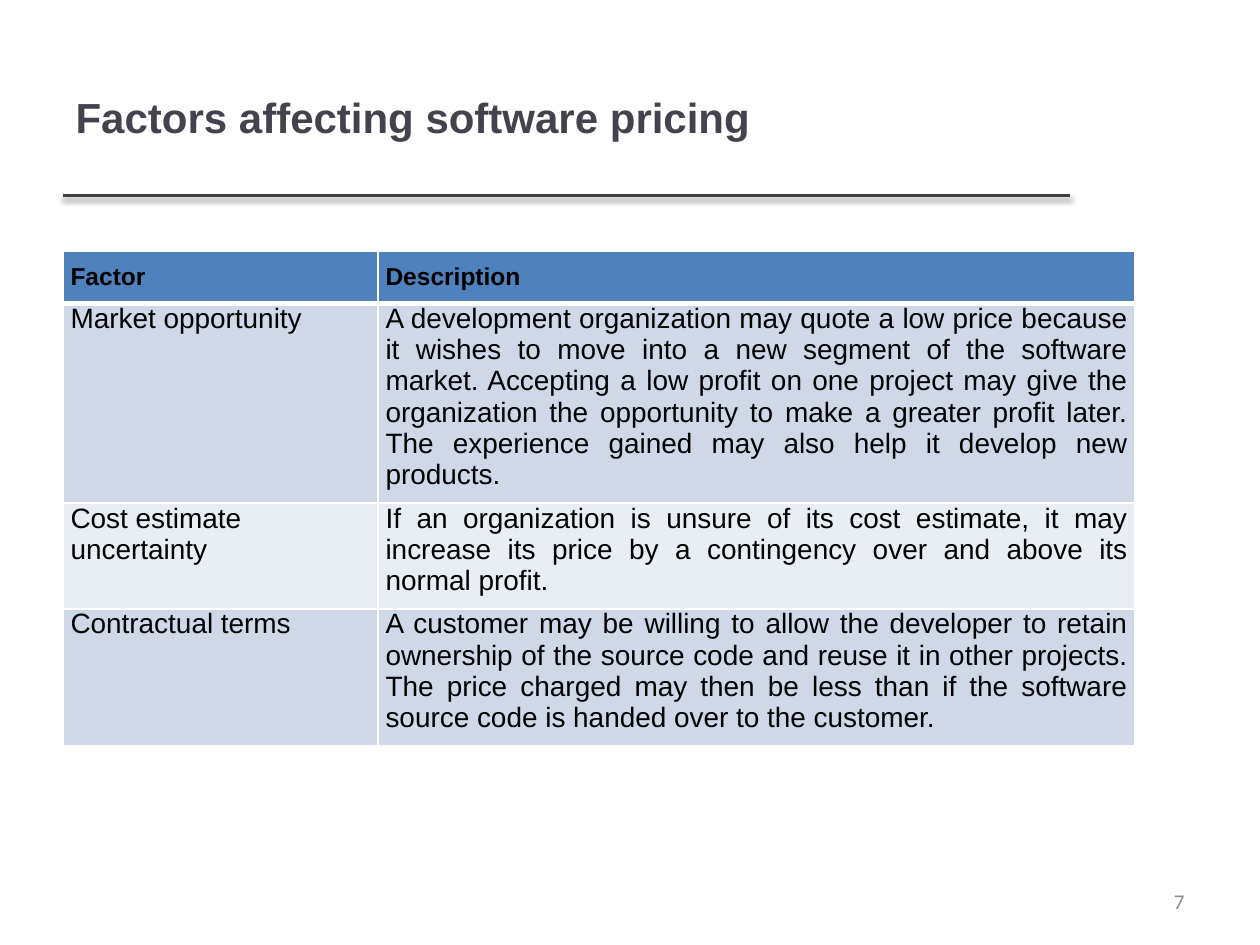
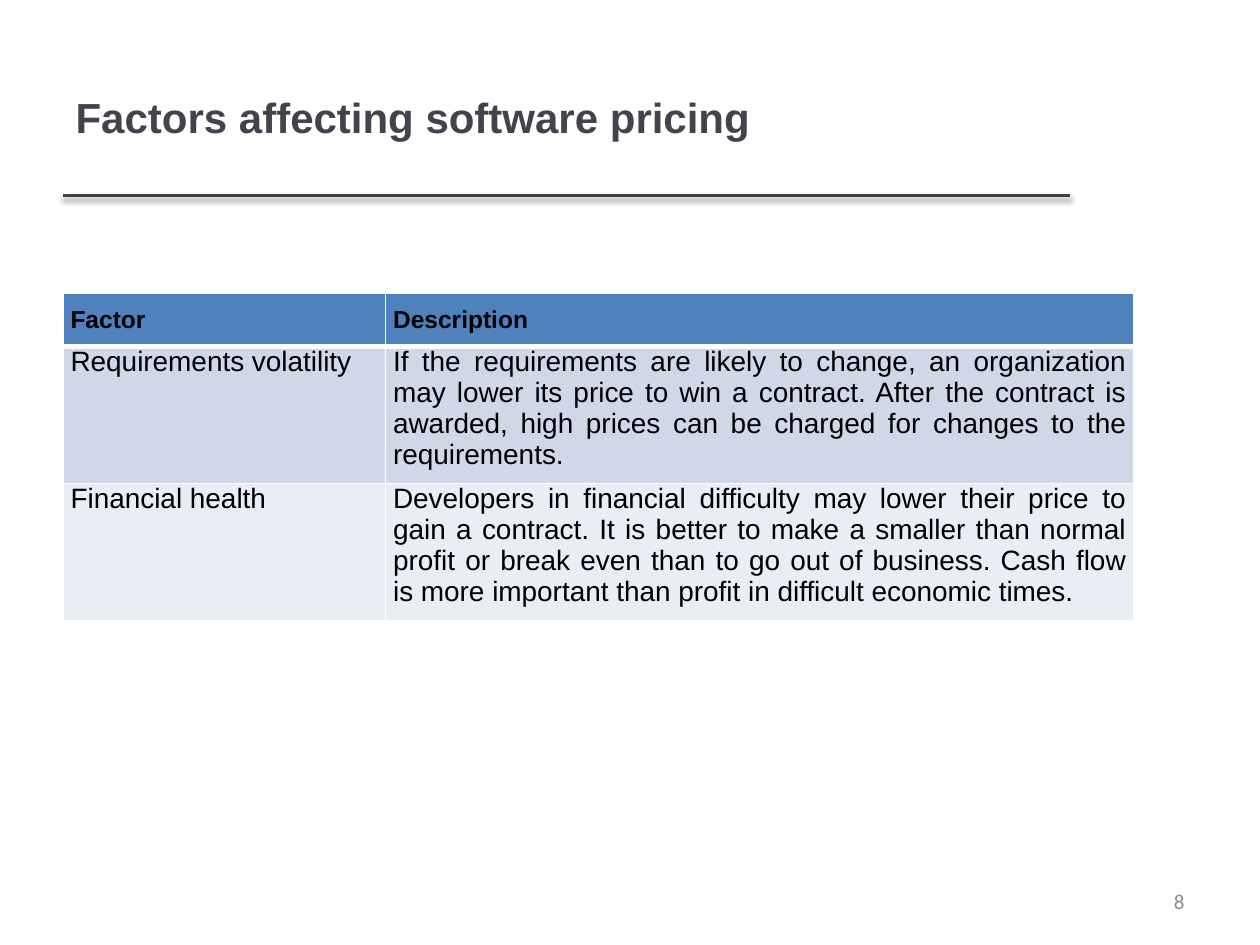
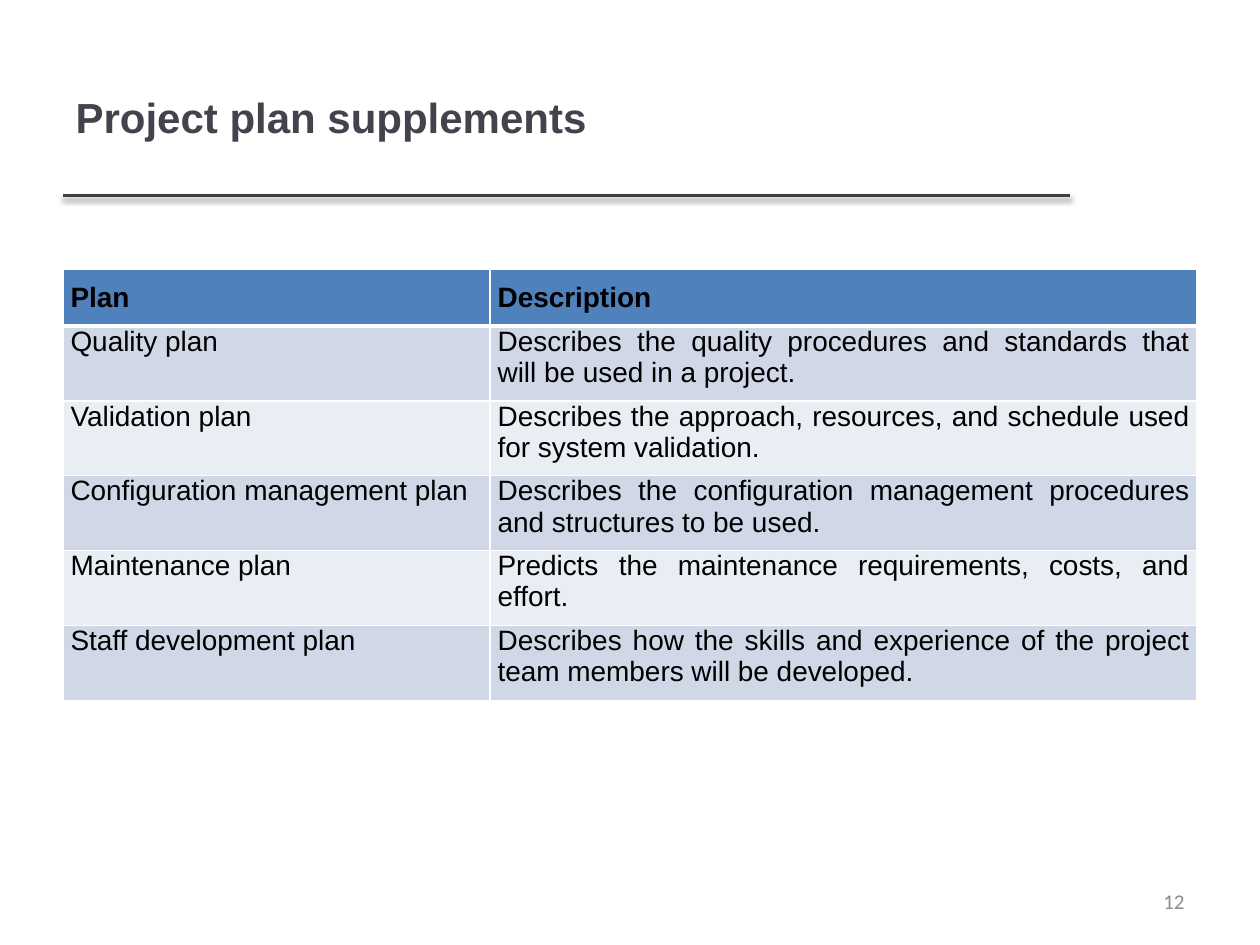
from dataclasses import dataclass

import lxml.etree
import pptx
import pptx.dml.color
import pptx.enum.shapes
import pptx.enum.text
import pptx.oxml
import pptx.oxml.ns
import pptx.util

EMU_PER_PX = 9144  # 100 px to the inch
ALIGN = pptx.enum.text.PP_ALIGN
ANCHOR = pptx.enum.text.MSO_ANCHOR


@dataclass(frozen=True)
class Theme:
    heading_font: str = "Arial"
    number_font: str = "Calibri"
    title_color: str = "46424D"
    rule_color: str = "404040"
    text_color: str = "000000"
    number_color: str = "8C8C8C"
    header_fill: str = "4F81BD"
    band_fills: tuple[str, str] = ("D0D8E8", "E9EDF4")
    border_color: str = "FFFFFF"
    title_size: int = 24
    body_size: int = 16
    number_size: int = 12
    rule_width: int = 2
    border_width: int = 1
    header_border_width: int = 3


@dataclass(frozen=True)
class Box:
    left: int
    top: int
    width: int
    height: int

    def emu(self) -> tuple[pptx.util.Emu, ...]:
        return tuple(px(length) for length in (self.left, self.top, self.width, self.height))


@dataclass(frozen=True)
class TextStyle:
    size: int
    color: str
    font: str = "Arial"
    bold: bool = False
    align: ALIGN = ALIGN.LEFT


@dataclass(frozen=True)
class TableSlide:
    title: str
    number: str
    box: Box
    first_column: int
    header_size: int
    rows: tuple[tuple[str, str], ...]


THEME = Theme()
TITLE_BOX = Box(50, 30, 798, 125)
NUMBER_BOX = Box(717, 695, 233, 40)
ROW_HEIGHT = 41
SIDE_INSET = 6
END_INSET = 10

SLIDES = (
    TableSlide(
        "Factors affecting software pricing", "7", Box(50, 199, 851, 420), 250, 14,
        (
            ("Factor", "Description"),
            ("Market opportunity",
             "A development organization may quote a low price because it wishes to move into "
             "a new segment of the software market. Accepting a low profit on one project may "
             "give the organization the opportunity to make a greater profit later. The "
             "experience gained may also help it develop new products."),
            ("Cost estimate uncertainty",
             "If an organization is unsure of its cost estimate, it may increase its price by "
             "a contingency over and above its normal profit."),
            ("Contractual terms",
             "A customer may be willing to allow the developer to retain ownership of the "
             "source code and reuse it in other projects. The price charged may then be less "
             "than if the software source code is handed over to the customer."),
        ),
    ),
    TableSlide(
        "Factors affecting software pricing", "8", Box(50, 233, 850, 277), 256, 14,
        (
            ("Factor", "Description"),
            ("Requirements volatility",
             "If the requirements are likely to change, an organization may lower its price "
             "to win a contract. After the contract is awarded, high prices can be charged "
             "for changes to the requirements."),
            ("Financial health",
             "Developers in financial difficulty may lower their price to gain a contract. It "
             "is better to make a smaller than normal profit or break even than to go out of "
             "business. Cash flow is more important than profit in difficult economic times."),
        ),
    ),
    TableSlide(
        "Project plan supplements", "12", Box(50, 214, 900, 363), 339, 16,
        (
            ("Plan", "Description"),
            ("Quality plan",
             "Describes the quality procedures and standards that will be used in a project."),
            ("Validation plan",
             "Describes the approach, resources, and schedule used for system validation."),
            ("Configuration management plan",
             "Describes the configuration management procedures and structures to be used."),
            ("Maintenance plan",
             "Predicts the maintenance requirements, costs, and effort."),
            ("Staff development plan",
             "Describes how the skills and experience of the project team members will be "
             "developed."),
        ),
    ),
)


def px(length: int) -> pptx.util.Emu:
    return pptx.util.Emu(length * EMU_PER_PX)


def rgb(color: str) -> pptx.dml.color.RGBColor:
    return pptx.dml.color.RGBColor.from_string(color)


def write_text(text_frame, text: str, style: TextStyle) -> None:
    paragraph = text_frame.paragraphs[0]
    paragraph.alignment = style.align
    run = paragraph.add_run()
    run.text = text
    run.font.name = style.font
    run.font.size = pptx.util.Pt(style.size)
    run.font.bold = style.bold
    run.font.color.rgb = rgb(style.color)


def add_title_rule(slide) -> None:
    """Draw the shadowed rule under the title and hand it to the slide's layout."""
    bottom = TITLE_BOX.top + TITLE_BOX.height
    rule = slide.shapes.add_connector(
        pptx.enum.shapes.MSO_CONNECTOR.STRAIGHT,
        px(TITLE_BOX.left), px(bottom), px(TITLE_BOX.left + TITLE_BOX.width + 1), px(bottom),
    )
    rule.line.color.rgb = rgb(THEME.rule_color)
    rule.line.width = pptx.util.Pt(THEME.rule_width)
    rule.element.spPr.append(pptx.oxml.parse_xml(
        f'<a:effectLst {pptx.oxml.ns.nsdecls("a")}>'
        '<a:outerShdw blurRad="40000" dist="20000" dir="5400000" rotWithShape="0">'
        '<a:srgbClr val="000000"><a:alpha val="38000"/></a:srgbClr>'
        '</a:outerShdw></a:effectLst>'
    ))
    slide.slide_layout.shapes.element.append(rule.element)


def add_title(slide, text: str) -> None:
    title = slide.shapes.title
    title.left, title.top, title.width, title.height = TITLE_BOX.emu()
    title.text_frame.vertical_anchor = ANCHOR.MIDDLE
    write_text(title.text_frame, text, TextStyle(
        THEME.title_size, THEME.title_color, THEME.heading_font, bold=True))


def add_slide_number(slide, number: str) -> None:
    text_frame = slide.shapes.add_textbox(*NUMBER_BOX.emu()).text_frame
    text_frame.word_wrap = True
    text_frame.vertical_anchor = ANCHOR.MIDDLE
    write_text(text_frame, number, TextStyle(
        THEME.number_size, THEME.number_color, THEME.number_font, align=ALIGN.RIGHT))


def set_borders(cell, row: int) -> None:
    """Give the cell white borders, with a thicker one between header and body."""
    widths = dict.fromkeys(("lnL", "lnR", "lnT", "lnB"), THEME.border_width)
    if row == 0:
        widths["lnB"] = THEME.header_border_width
    elif row == 1:
        widths["lnT"] = THEME.header_border_width
    properties = cell._tc.get_or_add_tcPr()
    for position, (side, width) in enumerate(widths.items()):
        border = lxml.etree.Element(pptx.oxml.ns.qn(f"a:{side}"), w=str(pptx.util.Pt(width)))
        fill = lxml.etree.SubElement(border, pptx.oxml.ns.qn("a:solidFill"))
        lxml.etree.SubElement(fill, pptx.oxml.ns.qn("a:srgbClr"), val=THEME.border_color)
        properties.insert(position, border)


def fill_cell(cell, text: str, row: int, column: int, header_size: int) -> None:
    is_header = row == 0
    cell.margin_left = cell.margin_right = px(SIDE_INSET)
    cell.margin_top = px(END_INSET if is_header else 0)
    cell.margin_bottom = px(END_INSET)
    cell.fill.solid()
    cell.fill.fore_color.rgb = rgb(
        THEME.header_fill if is_header else THEME.band_fills[(row - 1) % 2])
    set_borders(cell, row)
    write_text(cell.text_frame, text, TextStyle(
        header_size if is_header else THEME.body_size,
        THEME.text_color,
        THEME.heading_font,
        bold=is_header,
        align=ALIGN.JUSTIFY if is_header or column == 1 else ALIGN.LEFT,
    ))


def add_description_table(slide, content: TableSlide) -> None:
    frame = slide.shapes.add_table(len(content.rows), 2, *content.box.emu())
    table = frame.table
    table.columns[0].width = px(content.first_column)
    table.columns[1].width = px(content.box.width - content.first_column)
    for row, texts in enumerate(content.rows):
        table.rows[row].height = px(ROW_HEIGHT)
        for column, text in enumerate(texts):
            fill_cell(table.cell(row, column), text, row, column, content.header_size)
    # Rows grow with their text; the frame keeps the full height.
    frame.height = px(content.box.height)


def main() -> None:
    presentation = pptx.Presentation()
    presentation.slide_width, presentation.slide_height = px(1000), px(750)
    title_only = presentation.slide_layouts[5]
    for index, content in enumerate(SLIDES):
        slide = presentation.slides.add_slide(title_only)
        if index == 0:
            add_title_rule(slide)
        add_title(slide, content.title)
        add_description_table(slide, content)
        add_slide_number(slide, content.number)
    presentation.save("out.pptx")


if __name__ == "__main__":
    main()
